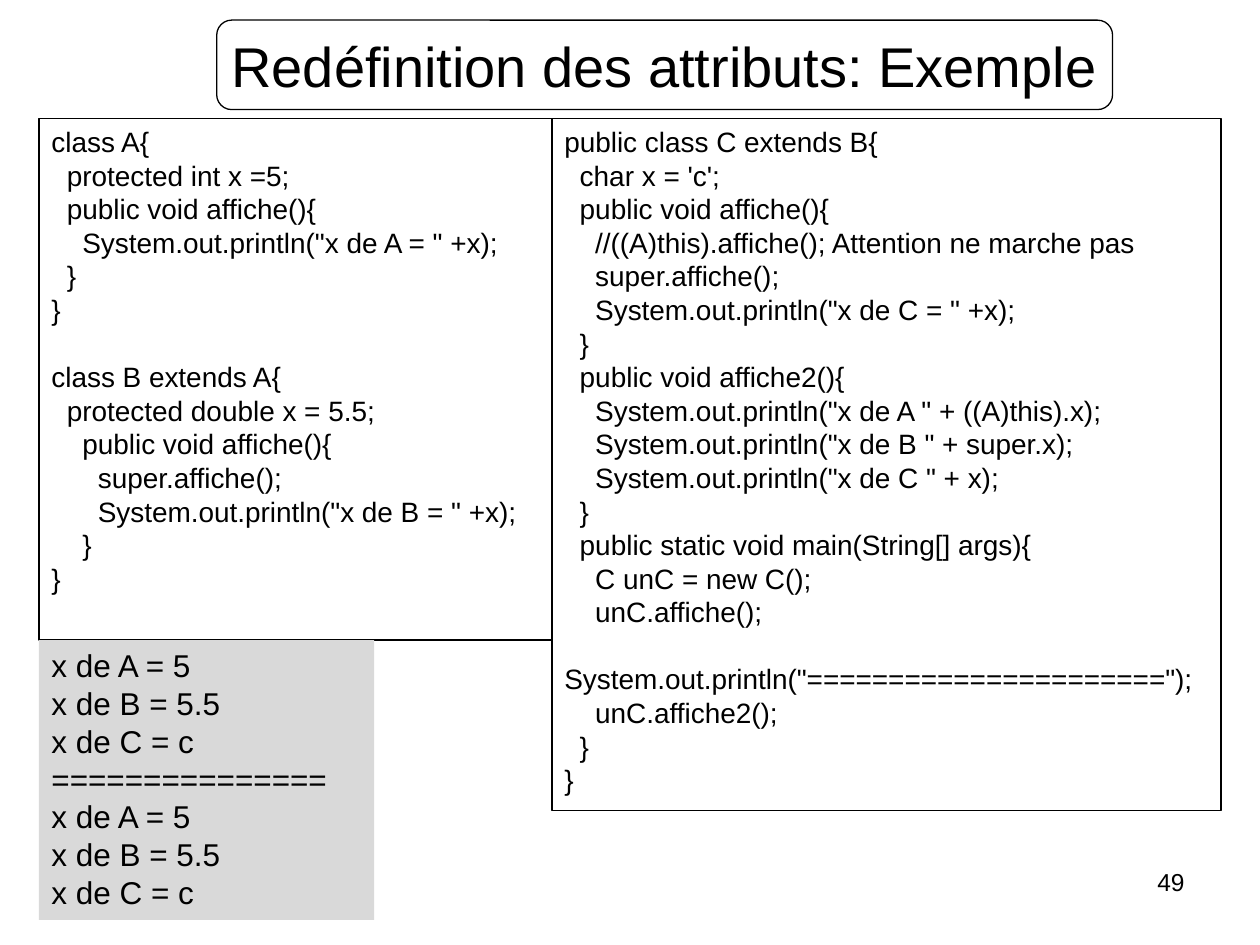
from pptx import Presentation
from pptx.dml.color import RGBColor
from pptx.enum.shapes import MSO_SHAPE as Kind
from pptx.enum.text import MSO_ANCHOR as Anchor, PP_ALIGN as Align
from pptx.util import Inches, Pt

TITLE = "Redéfinition des attributs: Exemple"
NUMBER = "49"
BASE = [
    """class A{
  protected int x =5;
  public void affiche(){
    System.out.println("x de A = " +x);
  }
}""",
    """class B extends A{
  protected double x = 5.5;
    public void affiche(){
      super.affiche();
      System.out.println("x de B = " +x);
    }
}""",
]
MAIN = ["""public class C extends B{
  char x = 'c';
  public void affiche(){
    //((A)this).affiche(); Attention ne marche pas
    super.affiche();
    System.out.println("x de C = " +x);
  }
  public void affiche2(){
    System.out.println("x de A " + ((A)this).x);
    System.out.println("x de B " + super.x);
    System.out.println("x de C " + x);
  }
  public static void main(String[] args){
    C unC = new C();
    unC.affiche();
    System.out.println("======================");
    unC.affiche2();
  }
}"""]
VALUES = "x de A = 5\nx de B = 5.5\nx de C = c"
OUTPUT = [f"{VALUES}\n===============\n{VALUES}"]

LEFT, TOP = 0.31, 0.94
SPLIT, BASE_H = 4.38, 4.14
GAP = Pt(19.2)


def color(code):
    return RGBColor.from_string(code)


def write(shape, blocks, size, align=Align.LEFT, anchor=Anchor.TOP, wrap=True):
    frame = shape.text_frame
    frame.word_wrap = wrap
    frame.vertical_anchor = anchor
    frame.text = "\n".join(blocks)
    for par in frame.paragraphs:
        par.alignment = align
        par.font.name = "Arial"
        par.font.size = Pt(size)
        par.font.color.rgb = color("000000")
    start = 0
    for block in blocks[:-1]:
        start += len(block.split("\n"))
        frame.paragraphs[start].space_before = GAP


def add_box(slide, area, kind=Kind.RECTANGLE, fill=None):
    box = slide.shapes.add_shape(kind, *map(Inches, area))
    box.shadow.inherit = False
    if fill:
        box.fill.solid()
        box.fill.fore_color.rgb = color(fill)
        box.line.fill.background()
    else:
        box.fill.background()
        box.line.color.rgb = color("000000")
        box.line.width = Pt(0.75)
    return box


def main():
    deck = Presentation()
    deck.slide_width, deck.slide_height = Inches(10), Inches(7.5)
    slide = deck.slides.add_slide(deck.slide_layouts[6])

    number = slide.shapes.add_textbox(*map(Inches, (7.17, 6.83, 2.33, 0.52)))
    write(number, [NUMBER], 14, Align.RIGHT)

    base = add_box(slide, (LEFT, TOP, SPLIT - LEFT, BASE_H))
    write(base, BASE, 16)
    code = add_box(slide, (SPLIT, TOP, 5.31, 5.49))
    write(code, MAIN, 16)
    title = add_box(slide, (1.72, 0.16, 7.11, 0.71), Kind.ROUNDED_RECTANGLE)
    write(title, [TITLE], 32, Align.CENTER, Anchor.MIDDLE, False)
    output = add_box(slide, (LEFT, TOP + BASE_H, 2.66, 2.22), fill="D9D9D9")
    write(output, OUTPUT, 18)

    deck.save("out.pptx")


if __name__ == "__main__":
    main()
